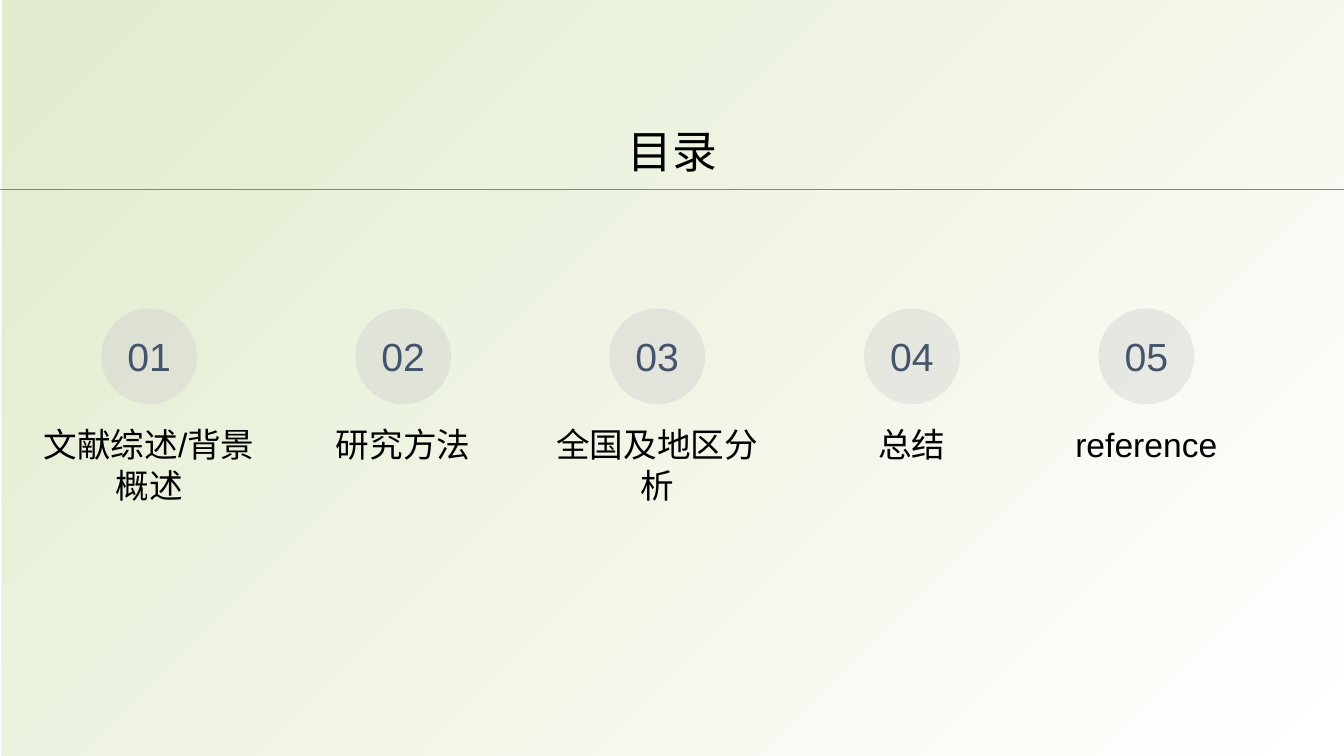
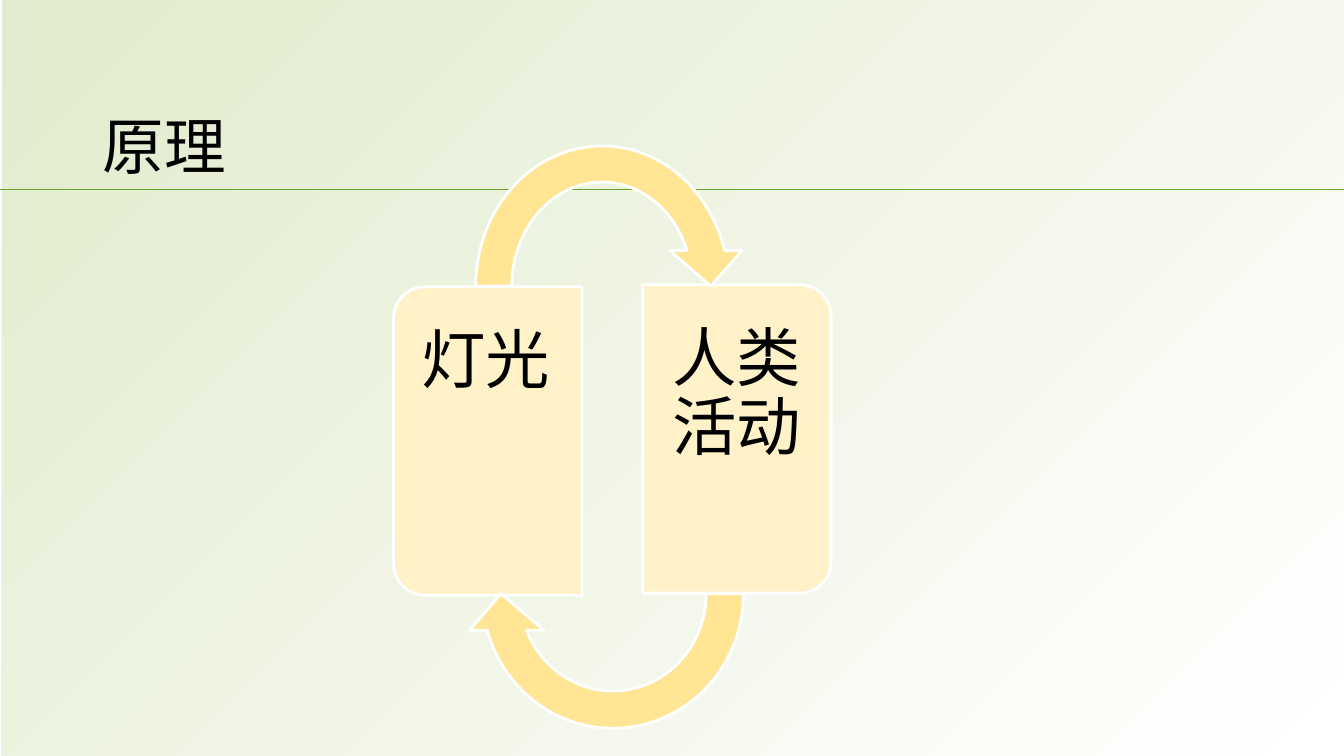
from lxml.etree import SubElement
from pptx import Presentation
from pptx.dml.color import RGBColor
from pptx.enum.shapes import MSO_CONNECTOR, MSO_SHAPE
from pptx.enum.text import MSO_ANCHOR, PP_ALIGN
from pptx.oxml.ns import qn
from pptx.util import Pt

COLORS = {
    "white": "FFFFFF",
    "pale_green": "E1EBCD",
    "rule": "6BA42C",
    "text": "000000",
    "circle": "D0CECE",
    "number": "44546A",
    "card": "FFF2C9",
    "arrow": "FFE594",
}
COLORS = {name: RGBColor.from_string(value) for name, value in COLORS.items()}
FONT = "Arial"
WIDTH, HEIGHT = 960, 540


def add_figure(shapes, kind, box, fill, outline=None, rotation=0, adjustments=()):
    """Add a preset shape without shadow; box is left, top, width, height in points."""
    shape = shapes.add_shape(kind, *map(Pt, box))
    shape.shadow.inherit = False
    shape.rotation = rotation
    for index, value in enumerate(adjustments):
        shape.adjustments[index] = value
    shape.fill.solid()
    shape.fill.fore_color.rgb = COLORS[fill]
    if outline:
        shape.line.color.rgb = COLORS[outline]
        shape.line.width = Pt(2)
    else:
        shape.line.fill.background()
    return shape


def write_text(shape, text, size, color="text", align=PP_ALIGN.CENTER,
               spacing=None, **frame_format):
    frame = shape.text_frame
    for name, value in {"word_wrap": True, **frame_format}.items():
        setattr(frame, name, value)
    paragraph = frame.paragraphs[0]
    paragraph.text = text
    paragraph.alignment = align
    paragraph.line_spacing = spacing
    for name, value in {"name": FONT, "size": Pt(size)}.items():
        setattr(paragraph.font, name, value)
    paragraph.font.color.rgb = COLORS[color]


presentation = Presentation()
presentation.slide_width, presentation.slide_height = Pt(WIDTH), Pt(HEIGHT)

# Shared background, rule and title
titles = [
    ("目录", 32, (66.2, 84.2, 828, 51.8), PP_ALIGN.CENTER, MSO_ANCHOR.MIDDLE, 0.9),
    ("原理", 44, (66.2, 28.8, 828, 104.4), PP_ALIGN.LEFT, MSO_ANCHOR.BOTTOM, None),
]
slides = []
for title, size, box, align, anchor, spacing in titles:
    slide = presentation.slides.add_slide(presentation.slide_layouts[6])
    slides.append(slide)

    background = add_figure(slide.shapes, MSO_SHAPE.RECTANGLE,
                            (1.4, 0, WIDTH - 1.4, HEIGHT), "white")
    background.fill.gradient()
    for stop, position, color in zip(background.fill.gradient_stops,
                                     (0, 1), ("white", "pale_green")):
        stop.position = position
        stop.color.rgb = COLORS[color]
    gradient = background.element.spPr.find(qn("a:gradFill"))
    gradient.remove(gradient.find(qn("a:lin")))
    gradient_path = SubElement(gradient, qn("a:path"), {"path": "circle"})
    SubElement(gradient_path, qn("a:fillToRect"), {"l": "100000", "t": "100000"})

    rule = slide.shapes.add_connector(MSO_CONNECTOR.STRAIGHT,
                                      Pt(0), Pt(135.4), Pt(WIDTH), Pt(135.4))
    rule.line.color.rgb = COLORS["rule"]
    rule.line.width = Pt(0.75)
    SubElement(rule.element.spPr, qn("a:effectLst"))

    title_box = slide.shapes.add_textbox(*map(Pt, box))
    write_text(title_box, title, size, align=align, spacing=spacing,
               vertical_anchor=anchor)

contents_slide, principle_slide = slides

# Contents: numbered circles with labels below
CIRCLE, LABEL_WIDTH = 68.4, 167
sections = [
    ("文献综述/背景概述", 106.5),
    ("研究方法", 288),
    ("全国及地区分析", 469.4),
    ("总结", 651.4),
    ("reference", 818.8),
]
for number, (label, center) in enumerate(sections, 1):
    circle = add_figure(contents_slide.shapes, MSO_SHAPE.OVAL,
                        (center - CIRCLE / 2, 220.3, CIRCLE, CIRCLE), "circle")
    fill_color = circle.element.spPr.find(qn("a:solidFill"))[0]
    SubElement(fill_color, qn("a:alpha"), {"val": "40000"})
    write_text(circle, f"{number:02}", 28, "number", margin_left=0, margin_right=0,
               vertical_anchor=MSO_ANCHOR.MIDDLE)
    label_box = contents_slide.shapes.add_textbox(
        Pt(center - LABEL_WIDTH / 2), Pt(299.5), Pt(LABEL_WIDTH), Pt(88))
    write_text(label_box, label, 24)

# Principle: two cards in a cycle
cycle = principle_slide.shapes.add_group_shape().shapes
cards = [
    ("灯光", (238.3, 247.7), 270, (287.3, 211), (13.7, 20.9)),
    ("人类活动", (416.2, 246.2), 90, (459.4, 209.5), (20.9, 13.7)),
]
for text, card_corner, rotation, text_corner, (left, right) in cards:
    add_figure(cycle, MSO_SHAPE.ROUND_2_SAME_RECTANGLE, (*card_corner, 220.3, 134.6),
               "card", "white", rotation, (0.167, 0))
    text_box = cycle.add_textbox(*map(Pt, (*text_corner, 128.2, 207.4)))
    write_text(text_box, text, 46, align=PP_ALIGN.LEFT, spacing=0.9,
               margin_left=Pt(left), margin_right=Pt(right),
               margin_top=Pt(23), margin_bottom=Pt(23))

arrows = [((326.9, 91.4, 206.6, 226.1), 0), ((331.2, 314.6, 213.1, 218.9), 180)]
for box, rotation in arrows:
    add_figure(cycle, MSO_SHAPE.CIRCULAR_ARROW, box, "arrow", "white", rotation,
               (0.125, 11.42, 204.58, 108, 0.125))

presentation.save("out.pptx")
